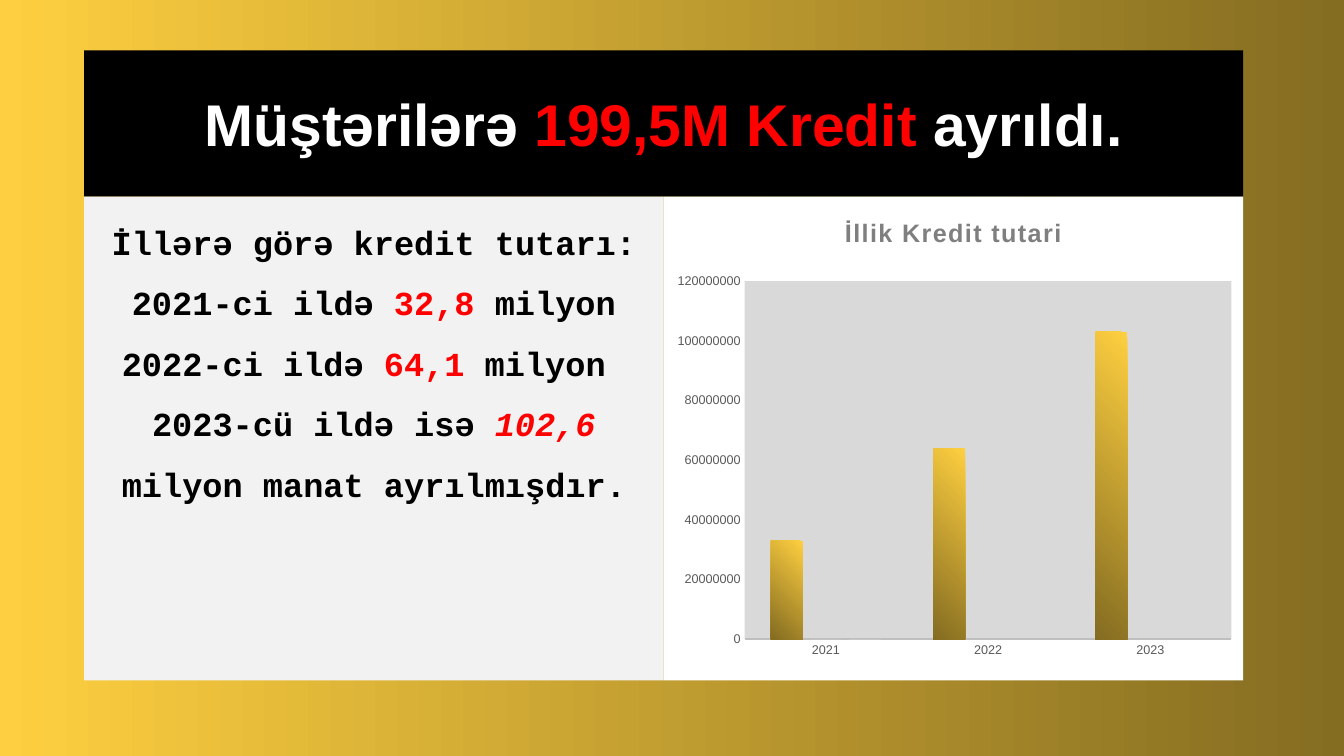
from lxml import etree
from pptx import Presentation
from pptx.chart.data import CategoryChartData
from pptx.dml.color import RGBColor
from pptx.enum.chart import XL_CHART_TYPE, XL_TICK_MARK
from pptx.enum.dml import MSO_PATTERN
from pptx.enum.text import MSO_ANCHOR, MSO_AUTO_SIZE, PP_ALIGN
from pptx.oxml import parse_xml
from pptx.oxml.ns import nsdecls, qn
from pptx.util import Pt

COLUMN = XL_CHART_TYPE.COLUMN_CLUSTERED
NO_TICK = XL_TICK_MARK.NONE
STRIPES = MSO_PATTERN.NARROW_HORIZONTAL
MIDDLE, TOP = MSO_ANCHOR.MIDDLE, MSO_ANCHOR.TOP
CENTER = PP_ALIGN.CENTER
NO_FIT = MSO_AUTO_SIZE.NONE

BLACK = RGBColor(0x00, 0x00, 0x00)
WHITE = RGBColor(0xFF, 0xFF, 0xFF)
RED = RGBColor(0xFF, 0x00, 0x00)
GOLD = RGBColor(0xFE, 0xCF, 0x40)
BRONZE = RGBColor(0x84, 0x6C, 0x21)
PALE = RGBColor(0xF2, 0xF2, 0xF2)
PLOT = RGBColor(0xD9, 0xD9, 0xD9)
AXIS = RGBColor(0xBF, 0xBF, 0xBF)
LABEL = RGBColor(0x59, 0x59, 0x59)
GREY = RGBColor(0x7F, 0x7F, 0x7F)
ROSE = RGBColor(0xC0, 0x50, 0x4D)
BLUSH = RGBColor(0xF2, 0xDC, 0xDB)

HEADING = [("Müştərilərə ", {}), ("199,5M Kredit ", {"color": RED}), ("ayrıldı.", {})]
LINES = [
    [("İllərə görə kredit tutarı:", {})],
    [("2021-ci ildə ", {}), ("32,8", {"color": RED}), (" milyon", {})],
    [("2022-ci ildə ", {}), ("64,1", {"color": RED}), (" milyon ", {})],
    [("2023-cü ildə isə ", {}), ("102,6 ", {"color": RED, "italic": True}),
     ("milyon manat ayrılmışdır.", {})],
]
YEARS = ["2021", "2022", "2023"]
SERIES = [
    ("Series 1", (33000000, 64000000, 103000000)),
    ("Series 2", (0, None, None)),
    ("Series 3", (0, None, None)),
]


def style(font, size, color, name="Arial", bold=False, italic=False):
    font.size, font.name = Pt(size), name
    font.bold, font.italic = bold, italic
    font.color.rgb = color


def write(par, text, **form):
    run = par.add_run()
    run.text = text
    style(run.font, **form)
    return run


def blend(fill, angle):
    fill.gradient()
    fill.gradient_angle = angle
    for stop, color in zip(fill.gradient_stops, (GOLD, BRONZE)):
        stop.color.rgb = color


def panel(shape, box, color, anchor):
    shape.left, shape.top, shape.width, shape.height = map(Pt, box)
    shape.fill.solid()
    shape.fill.fore_color.rgb = color
    frame = shape.text_frame
    frame.word_wrap = True
    frame.auto_size = NO_FIT
    frame.vertical_anchor = anchor
    return frame


def banner(slide, box):
    par = panel(slide.shapes.title, box, BLACK, MIDDLE).paragraphs[0]
    par.alignment = CENTER
    for text, form in HEADING:
        write(par, text, **{"size": 42, "color": WHITE, "bold": True, **form})


def summary(slide, box):
    frame = panel(slide.placeholders[1], box, PALE, TOP)
    for i, line in enumerate(LINES):
        par = frame.add_paragraph() if i else frame.paragraphs[0]
        par.alignment, par.line_spacing = CENTER, 1.5
        par.space_before = par.space_after = Pt(0)
        # No bullet or hanging indent
        props = par._p.get_or_add_pPr()
        props.set("marL", "0")
        props.set("indent", "0")
        etree.SubElement(props, qn("a:buNone"))
        for text, form in line:
            write(par, text, **{"size": 24, "color": BLACK, "bold": True,
                                "name": "Courier New", **form})


def area(color):
    return parse_xml(
        f'<c:spPr {nsdecls("c", "a")}><a:solidFill><a:srgbClr val="{color}"/>'
        '</a:solidFill><a:ln><a:noFill/></a:ln></c:spPr>')


def graph(slide, box):
    data = CategoryChartData()
    data.categories = YEARS
    for name, values in SERIES:
        data.add_series(name, values)
    chart = slide.shapes.add_chart(COLUMN, *map(Pt, box), data).chart
    style(chart.font, 10, BLACK)
    chart.has_legend = False

    # Chart title
    chart.has_title = True
    title = chart.chart_title
    title.include_in_layout = False
    run = write(title.text_frame.paragraphs[0], "İllik Kredit tutari",
                size=18, color=GREY, bold=True)
    run.font._element.set("spc", "100")

    # Axes
    for axis in (chart.category_axis, chart.value_axis):
        axis.major_tick_mark = axis.minor_tick_mark = NO_TICK
        axis.has_major_gridlines = False
        style(axis.tick_labels.font, 9, LABEL)
    line = chart.category_axis.format.line
    line.color.rgb, line.width = AXIS, Pt(1.5)
    scale = chart.value_axis
    scale.format.line.fill.background()
    scale.minimum_scale, scale.maximum_scale = 0, 120000000
    scale.major_unit = 20000000
    scale.tick_labels.number_format = "0"
    scale.tick_labels.number_format_is_linked = False

    # Bars
    plot = chart.plots[0]
    plot.gap_width, plot.overlap = 164, -22
    plot.vary_by_categories = False
    main, *rest = plot.series
    blend(main.format.fill, 225)
    for series, (fore, back) in zip(rest, ((ROSE, BLUSH), (WHITE, WHITE))):
        fill = series.format.fill
        fill.patterned()
        fill.pattern = STRIPES
        fill.fore_color.rgb, fill.back_color.rgb = fore, back

    # Backgrounds and plot position
    body = chart.element.find(qn("c:chart"))
    body.addnext(area(WHITE))
    inner = body.find(qn("c:plotArea"))
    inner.append(area(PLOT))
    for old in inner.findall(qn("c:layout")):
        inner.remove(old)
    parts = [("layoutTarget", "inner"), ("xMode", "edge"), ("yMode", "edge"),
             ("x", 0.14), ("y", 0.175), ("w", 0.84), ("h", 0.74)]
    marks = "".join(f'<c:{tag} val="{val}"/>' for tag, val in parts)
    inner.insert(0, parse_xml(
        f'<c:layout {nsdecls("c")}><c:manualLayout>{marks}</c:manualLayout></c:layout>'))


def main():
    deck = Presentation()
    deck.slide_width, deck.slide_height = Pt(960), Pt(540)
    slide = deck.slides.add_slide(deck.slide_layouts[1])
    blend(slide.background.fill, 0)

    left, top, width, head, tall = 60, 36, 828, 104.4, 345.6
    half, low = width / 2, top + head
    banner(slide, (left, top, width, head))
    graph(slide, (left + half, low, half, tall))
    summary(slide, (left, low, half, tall))
    deck.save("out.pptx")


if __name__ == "__main__":
    main()
